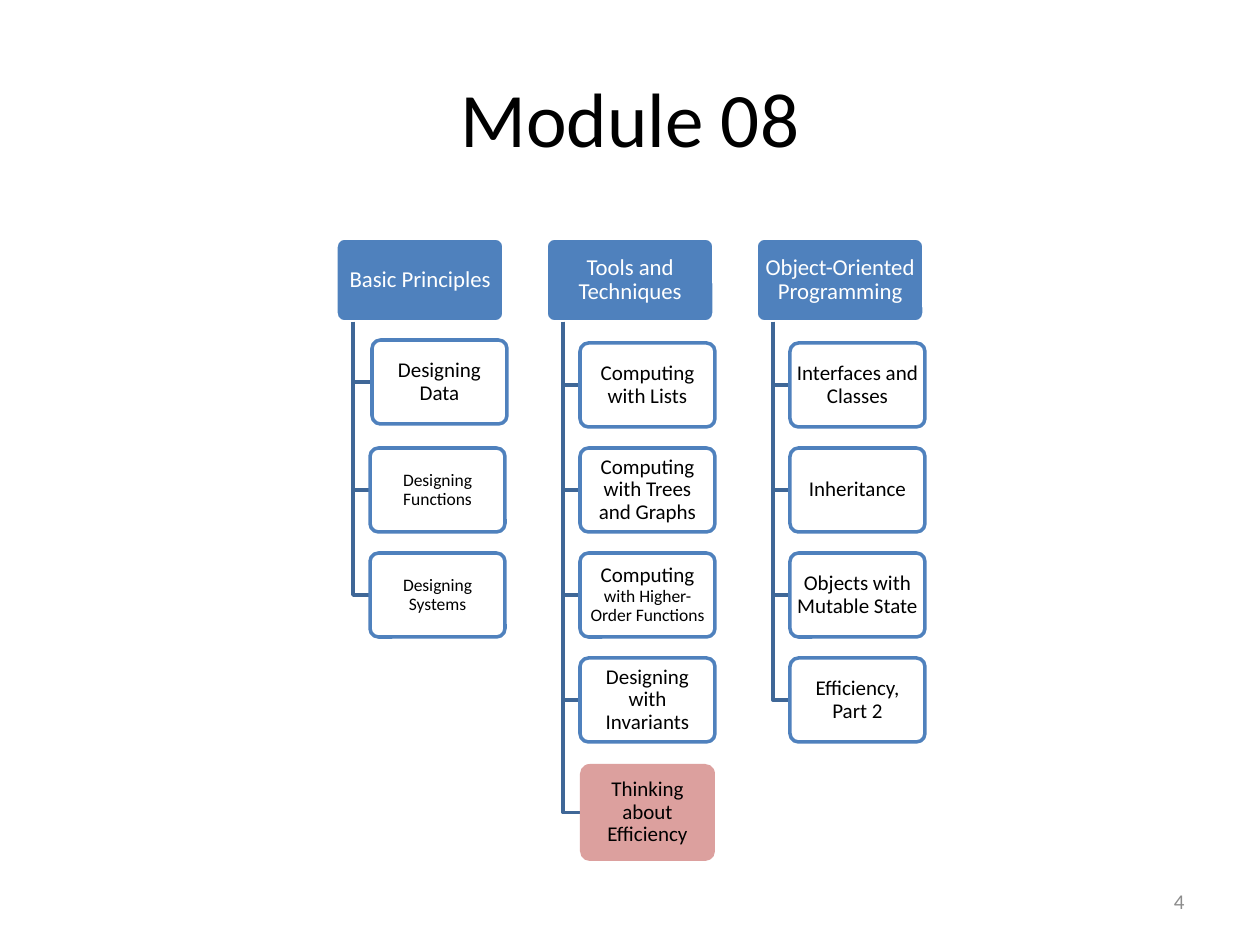
from dataclasses import dataclass

from lxml.etree import SubElement
from pptx import Presentation
from pptx.dml.color import RGBColor
from pptx.enum.shapes import MSO_SHAPE as Shp
from pptx.enum.text import MSO_ANCHOR as Anchor, PP_ALIGN as Align
from pptx.oxml.ns import qn
from pptx.util import Emu, Pt

COLORS = {
    "blue": "4F81BD", "elbow": "3F6797", "white": "FFFFFF",
    "black": "000000", "rose": "D99694", "gray": "8C8C8C",
}
SCALE = 914400 / 126
FONT = "Calibri"
LEFT, TOP, COL_STEP, ROW_STEP = 336, 238, 210, 105
HEAD_W, TOPIC_W, BOX_H = 168, 135, 84
TRUNK_DX, TOPIC_DX = 17, 34


@dataclass
class Topic:
    """A topic box: its text runs, fill and deviations from the grid."""
    text: str
    size: int = 12
    small: str = ""
    dx: int = 0
    dy: int = 0
    height: int = BOX_H
    fill: str = "white"
    line: str | None = "blue"


@dataclass
class Column:
    """A heading with the topics below it."""
    heading: str
    topics: list[Topic]


COLUMNS = [
    Column("Basic Principles", [
        Topic("Designing Data", dx=2, dy=-3),
        Topic("Designing Functions", 10),
        Topic("Designing Systems", 10),
    ]),
    Column("Tools and Techniques", [
        Topic("Computing with Lists"),
        Topic("Computing with Trees and Graphs"),
        Topic("Computing", small=" with Higher-Order Functions"),
        Topic("Designing with Invariants"),
        Topic("Thinking about Efficiency", dy=1, height=97, fill="rose", line=None),
    ]),
    Column("Object-Oriented Programming", [
        Topic("Interfaces and Classes"),
        Topic("Inheritance"),
        Topic("Objects with Mutable State"),
        Topic("Efficiency, Part 2"),
    ]),
]


def px(n: float) -> Emu:
    """Convert picture pixels to EMU."""
    return Emu(round(n * SCALE))


def rgb(name: str) -> RGBColor:
    """Look up a named colour."""
    return RGBColor.from_string(COLORS[name])


def style(r, size: int, color: str) -> None:
    """Format a run."""
    r.font.name, r.font.size = FONT, Pt(size)
    r.font.color.rgb = rgb(color)


def add_box(slide, x: int, y: int, w: int, topic: Topic, color: str, alpha: int) -> None:
    """Draw a rounded box with centred text."""
    s = slide.shapes.add_shape(Shp.ROUNDED_RECTANGLE, px(x), px(y), px(w), px(topic.height))
    s.adjustments[0] = 0.1
    s.shadow.inherit = False
    s.fill.solid()
    s.fill.fore_color.rgb = rgb(topic.fill)
    if alpha < 100:
        clr = s.fill._xPr.find(qn("a:solidFill"))[0]
        SubElement(clr, qn("a:alpha")).set("val", str(alpha * 1000))
    if topic.line:
        s.line.color.rgb = rgb(topic.line)
        s.line.width = Pt(2)
    else:
        s.line.fill.background()
    tf = s.text_frame
    tf.word_wrap, tf.vertical_anchor = True, Anchor.MIDDLE
    tf.margin_left = tf.margin_right = px(4)
    tf.margin_top = tf.margin_bottom = px(2)
    p = tf.paragraphs[0]
    p.text, p.alignment, p.line_spacing = topic.text, Align.CENTER, 0.9
    style(p.runs[0], topic.size, color)
    if topic.small:
        r = p.add_run()
        r.text = topic.small
        style(r, 10, color)


def add_elbow(slide, x: int, y: int, end_x: int, end_y: float) -> None:
    """Draw a line down and then right to a topic."""
    fb = slide.shapes.build_freeform(px(x), px(y))
    fb.add_line_segments([(px(x), px(end_y)), (px(end_x), px(end_y))], close=False)
    s = fb.convert_to_shape()
    s.shadow.inherit = False
    s.fill.background()
    s.line.color.rgb = rgb("elbow")
    s.line.width = Pt(2)


def add_column(slide, x: int, column: Column) -> None:
    """Draw a heading and its topics."""
    add_box(slide, x, TOP, HEAD_W, Topic(column.heading, 13, fill="blue", line="white"), "white", 100)
    for row, topic in enumerate(column.topics, 1):
        left = x + TOPIC_DX + topic.dx
        top = TOP + row * ROW_STEP + topic.dy
        add_elbow(slide, x + TRUNK_DX, TOP + BOX_H, left, top + topic.height / 2)
        add_box(slide, left, top, TOPIC_W, topic, "black", 90)


def main() -> None:
    """Build and save the slide."""
    prs = Presentation()
    prs.slide_width, prs.slide_height = px(1260), px(945)
    slide = prs.slides.add_slide(prs.slide_layouts[5])

    title = slide.shapes.title
    title.left, title.top, title.width, title.height = px(63), px(38), px(1134), px(157)
    title.text_frame.text = "Module 08"
    title.text_frame.vertical_anchor = Anchor.MIDDLE
    p = title.text_frame.paragraphs[0]
    p.alignment = Align.CENTER
    style(p.runs[0], 44, "black")

    number = slide.shapes.add_textbox(px(903), px(876), px(294), px(50))
    tf = number.text_frame
    tf.word_wrap, tf.vertical_anchor = True, Anchor.MIDDLE
    p = tf.paragraphs[0]
    p.text, p.alignment = "4", Align.RIGHT
    style(p.runs[0], 12, "gray")

    for i, column in enumerate(COLUMNS):
        add_column(slide, LEFT + i * COL_STEP, column)
    prs.save("out.pptx")


main()
